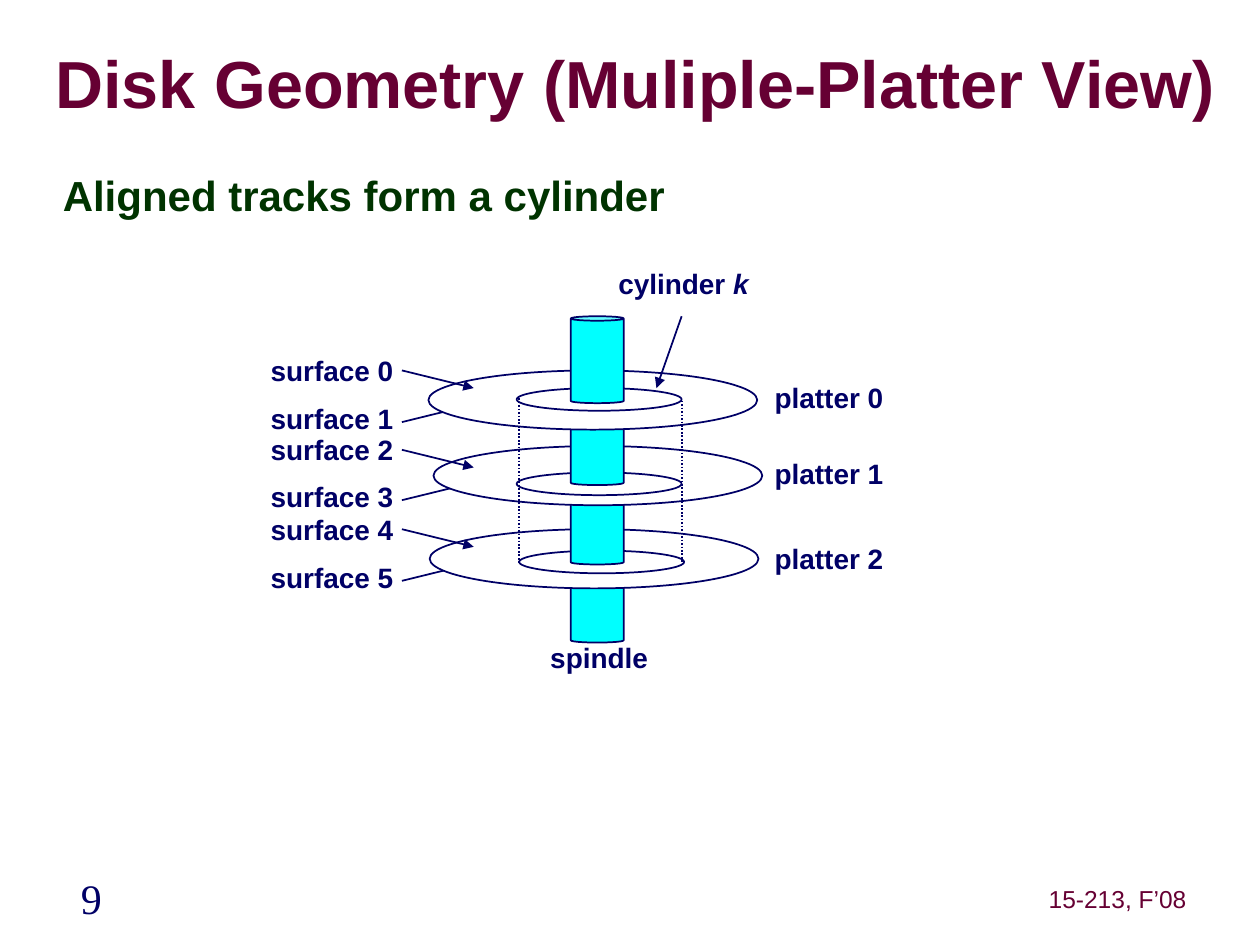
import pptx
import pptx.util
import pptx.dml.color
import pptx.enum.dml
import pptx.enum.shapes
import pptx.enum.text
import pptx.oxml.ns
import lxml.etree

Inches = pptx.util.Inches
SHAPE = pptx.enum.shapes.MSO_SHAPE
ALIGN = pptx.enum.text.PP_ALIGN
ANCHOR = pptx.enum.text.MSO_ANCHOR
AUTO_SIZE = pptx.enum.text.MSO_AUTO_SIZE

COLORS = {"ink": "000066", "title": "660033", "body": "003300",
          "spindle": "00FFFF", "platter": "FFFFFF"}

TITLE = "Disk Geometry (Muliple-Platter View)"
STATEMENT = "Aligned tracks form a cylinder"
PAGE_NUMBER = "9"
COURSE = "15-213, F’08"

PLATTERS = [
    {"name": "platter 0", "label_top": 2.98, "disk": (3.40, 2.94), "track": (4.10, 3.08),
     "spindle_top": 3.16, "surfaces": [("surface 0", 2.77, 2.94), ("surface 1", 3.15, 3.35)]},
    {"name": "platter 1", "label_top": 3.59, "disk": (3.44, 3.54), "track": (4.10, 3.75),
     "spindle_top": 3.79, "surfaces": [("surface 2", 3.40, 3.57), ("surface 3", 3.77, 3.97)]},
    {"name": "platter 2", "label_top": 4.26, "disk": (3.41, 4.20), "track": (4.12, 4.37),
     "spindle_top": 4.41, "surfaces": [("surface 4", 4.03, 4.20), ("surface 5", 4.41, 4.61)]},
]
DISK_SIZE = (2.61, 0.47)
TRACK_SIZE = (1.31, 0.18)
SPINDLE_SIZE = (0.42, 0.69)
SPINDLE_LEFT, SPINDLE_TOP = 4.53, 2.51
POINTER_START, POINTER_END, POINTER_RISE = 3.19, 3.76, 0.14
CYLINDER_SIDES = [((4.12, 3.16), (4.12, 4.47)), ((5.41, 3.18), (5.41, 4.48))]

deck = pptx.Presentation()
deck.slide_width, deck.slide_height = Inches(10), Inches(7.5)
slide = deck.slides.add_slide(deck.slide_layouts[6])


def rgb(name):
    return pptx.dml.color.RGBColor.from_string(COLORS[name])


def add_text(box, runs, size=16, color="ink", font="Arial", bold=True, align=ALIGN.CENTER,
             anchor=ANCHOR.MIDDLE, spacing=0.98, insets=(0.1, 0.05), wrap=False):
    frame = slide.shapes.add_textbox(*map(Inches, box)).text_frame
    frame.word_wrap = wrap
    frame.auto_size = AUTO_SIZE.NONE if wrap else AUTO_SIZE.SHAPE_TO_FIT_TEXT
    frame.vertical_anchor = anchor
    frame.margin_left = frame.margin_right = Inches(insets[0])
    frame.margin_top = frame.margin_bottom = Inches(insets[1])
    paragraph = frame.paragraphs[0]
    paragraph.alignment = align
    paragraph.line_spacing = spacing
    for text, italic in runs:
        run = paragraph.add_run()
        run.text = text
        run.font.name, run.font.size = font, pptx.util.Pt(size)
        run.font.bold, run.font.italic = bold, italic
        run.font.color.rgb = rgb(color)


def add_outlined(kind, position, size, fill=None):
    shape = slide.shapes.add_shape(kind, *map(Inches, position + size))
    shape.shadow.inherit = False
    if fill:
        shape.fill.solid()
        shape.fill.fore_color.rgb = rgb(fill)
    else:
        shape.fill.background()
    shape.line.color.rgb = rgb("ink")
    shape.line.width = pptx.util.Pt(1)
    return shape


def add_spindle(top):
    part = add_outlined(SHAPE.CAN, (SPINDLE_LEFT, top), SPINDLE_SIZE, "spindle")
    part.adjustments[0] = 0.085


def add_line(start, end, arrow=True):
    line = slide.shapes.add_connector(pptx.enum.shapes.MSO_CONNECTOR.STRAIGHT,
                                      *map(Inches, start + end))
    line.line.color.rgb = rgb("ink")
    line.line.width = pptx.util.Pt(1)
    if arrow:
        lxml.etree.SubElement(line.line._get_or_add_ln(), pptx.oxml.ns.qn("a:tailEnd"),
                              type="triangle")
    else:
        line.line.dash_style = pptx.enum.dml.MSO_LINE.ROUND_DOT
    lxml.etree.SubElement(line._element.spPr, pptx.oxml.ns.qn("a:effectLst"))


def add_pointers(side, rise):
    for platter in PLATTERS:
        start = platter["surfaces"][side][2]
        add_line((POINTER_START, start), (POINTER_END, start + rise))


add_text((-0.02, 6.94, 1.49, 0.43), [(PAGE_NUMBER, False)], size=24, font="Times New Roman",
         bold=False, spacing=0.83, insets=(0.05, 0.05))
add_text((8.27, 6.99, 1.2, 0.31), [(COURSE, False)], size=14, color="title",
         bold=False, spacing=0.88, insets=(0.05, 0.05))
add_text((0.44, 0.27, 9.53, 0.86), [(TITLE, False)], size=38, color="title",
         align=ALIGN.LEFT, spacing=0.85, insets=(0, 0), wrap=True)
add_text((0.4, 1.33, 9, 5.71), [(STATEMENT, False)], size=24, color="body",
         align=ALIGN.LEFT, anchor=ANCHOR.TOP, spacing=0.93, wrap=True)

add_pointers(1, -POINTER_RISE)
for platter in reversed(PLATTERS):
    add_spindle(platter["spindle_top"])
    add_outlined(SHAPE.OVAL, platter["disk"], DISK_SIZE, "platter")
    add_outlined(SHAPE.OVAL, platter["track"], TRACK_SIZE)
add_spindle(SPINDLE_TOP)
add_pointers(0, POINTER_RISE)
for top, bottom in CYLINDER_SIDES:
    add_line(top, bottom, arrow=False)

for platter in PLATTERS:
    add_text((6.05, platter["label_top"], 1.06, 0.36), [(platter["name"], False)])
    for surface, label_top, _ in platter["surfaces"]:
        add_text((2.05, label_top, 1.17, 0.36), [(surface, False)])
add_text((4.77, 2.09, 1.31, 0.35), [("cylinder ", False), ("k", True)], spacing=0.93)
add_line((5.41, 2.51), (5.21, 3.08))
add_text((4.23, 5.05, 1.05, 0.36), [("spindle", False)])

deck.save("out.pptx")
